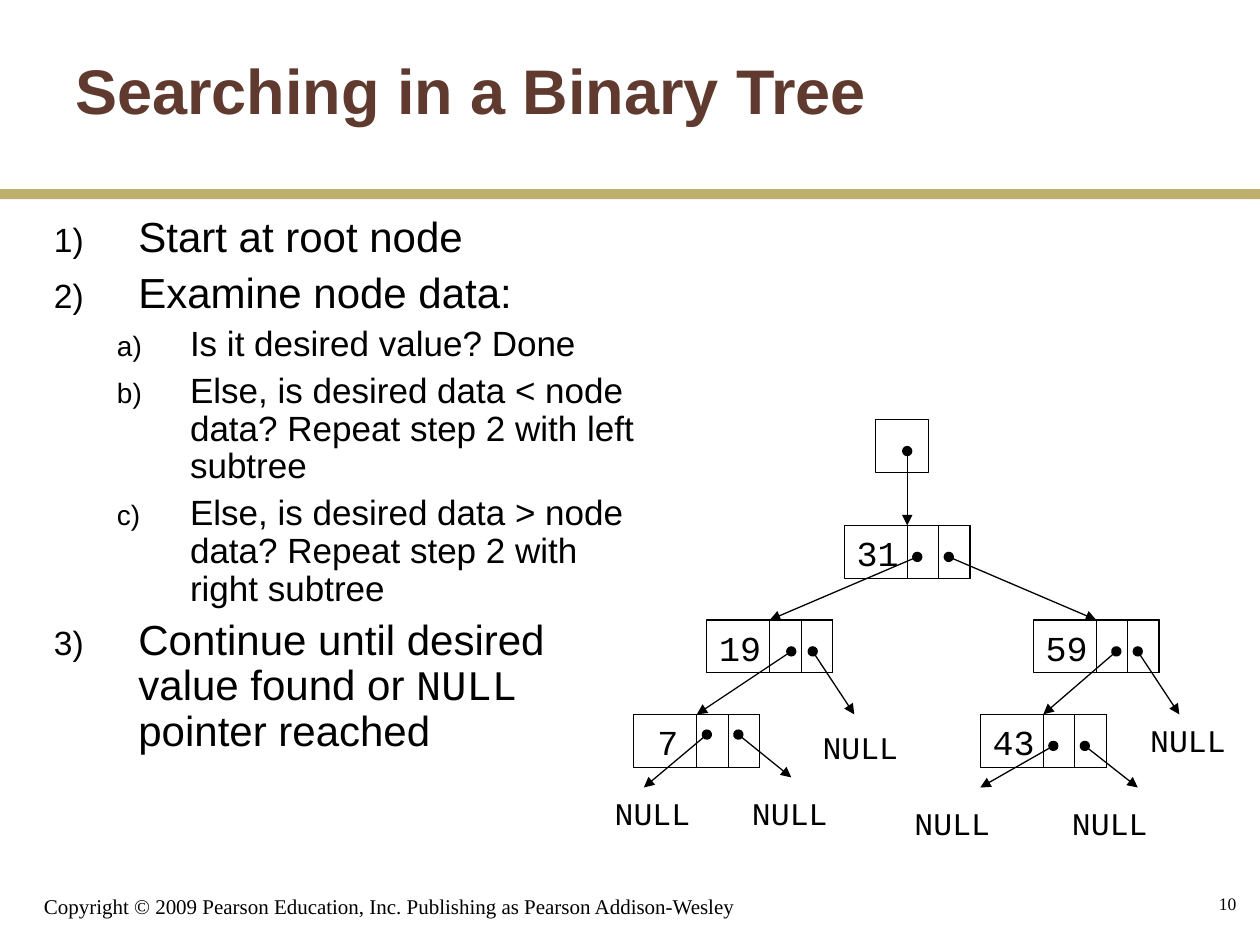
from lxml.etree import SubElement
from pptx import Presentation
from pptx.dml.color import RGBColor
from pptx.enum.shapes import MSO_CONNECTOR, MSO_SHAPE
from pptx.enum.text import MSO_ANCHOR, MSO_AUTO_SIZE, PP_ALIGN
from pptx.oxml.ns import qn
from pptx.util import Inches, Pt

BLACK, BROWN, GOLD = "000000", "603A2F", "BFAF6F"
SANS, MONO, SERIF = "Arial", "Courier New", "Times New Roman"
NODE_WIDTH, CELL_WIDTH, NODE_HEIGHT = 1, 0.25, 0.42


def color(hex_text):
    return RGBColor.from_string(hex_text)


def add_span(para, text, size=20, font=SANS, ink=BLACK, bold=False):
    span = para.add_run()
    span.text = text
    span.font.size = Pt(size)
    span.font.name = font
    span.font.bold = bold
    span.font.color.rgb = color(ink)


def number_paragraph(para, level):
    """Hanging automatic number: 1) on the first level, a) on the second."""
    indent, hanging, scheme = [(0.67, 0.67, "arabicParenR"),
                               (1.08, 0.58, "alphaLcParenR")][level]
    para.level = level
    properties = para._p.get_or_add_pPr()
    properties.set("marL", str(Inches(indent)))
    properties.set("indent", str(-Inches(hanging)))
    bullet_color = SubElement(properties, qn("a:buClr"))
    SubElement(bullet_color, qn("a:srgbClr"), val=BLACK)
    SubElement(properties, qn("a:buSzPct"), val="80000")
    SubElement(properties, qn("a:buAutoNum"), type=scheme)


class SlideBuilder:
    line_width = Pt(0.75)

    def __init__(self, slide):
        self.slide = slide

    def text(self, left, top, width, height, text="", wrap=True,
             anchor=MSO_ANCHOR.TOP, align=PP_ALIGN.LEFT, **style):
        box = self.slide.shapes.add_textbox(
            Inches(left), Inches(top), Inches(width), Inches(height))
        frame = box.text_frame
        frame.word_wrap = wrap
        frame.auto_size = MSO_AUTO_SIZE.NONE if wrap else MSO_AUTO_SIZE.SHAPE_TO_FIT_TEXT
        frame.vertical_anchor = anchor
        para = frame.paragraphs[0]
        para.alignment = align
        if text:
            add_span(para, text, **style)
        return frame

    def numbered_list(self, left, top, width, height, items):
        frame = self.text(left, top, width, height)
        for index, (level, spans) in enumerate(items):
            para = frame.add_paragraph() if index else frame.paragraphs[0]
            number_paragraph(para, level)
            para.line_spacing = 0.9
            para.space_before = Pt((6, 5)[level] if index else 0)
            for text, font in spans:
                add_span(para, text, size=(24, 20)[level], font=font)

    def rectangle(self, left, top, width, height, fill=None):
        box = self.slide.shapes.add_shape(
            MSO_SHAPE.RECTANGLE, Inches(left), Inches(top), Inches(width), Inches(height))
        box.shadow.inherit = False
        if fill:
            box.fill.solid()
            box.fill.fore_color.rgb = color(fill)
            box.line.fill.background()
        else:
            box.fill.background()
            box.line.color.rgb = color(BLACK)
            box.line.width = self.line_width
        return box

    def node(self, left, top, value, text_shift=0):
        """A tree node: the value, then two pointer cells at its right end."""
        box = self.rectangle(left, top, NODE_WIDTH, NODE_HEIGHT)
        for cells in (1, 2):
            self.rectangle(left + NODE_WIDTH - cells * CELL_WIDTH, top,
                           CELL_WIDTH, NODE_HEIGHT)
        self.text(left + text_shift, top, 0.12 + 0.2 * len(value) + 0.02, 0.44,
                  value, wrap=False, font=MONO)
        return box

    def pointer(self, start, end, target=None):
        line = self.slide.shapes.add_connector(
            MSO_CONNECTOR.STRAIGHT, *(Inches(value) for value in (*start, *end)))
        if target is not None:
            line.end_connect(target, 0)
        line.line.color.rgb = color(BLACK)
        line.line.width = self.line_width
        outline = line.line._get_or_add_ln()
        SubElement(outline, qn("a:headEnd"), type="oval")
        SubElement(outline, qn("a:tailEnd"), type="triangle")
        SubElement(line._element.spPr, qn("a:effectLst"))


def main():
    deck = Presentation()
    deck.slide_width, deck.slide_height = Inches(10), Inches(7.5)
    page = SlideBuilder(deck.slides.add_slide(deck.slide_layouts[6]))

    # Title and rule
    page.rectangle(0, 1.5, 10, 0.08, fill=GOLD)
    page.text(0.5, 0.08, 8.33, 1.25, "Searching in a Binary Tree",
              anchor=MSO_ANCHOR.MIDDLE, size=36, ink=BROWN, bold=True)

    # Search steps
    page.numbered_list(0.33, 1.67, 4.92, 5, [
        (0, [("Start at root node", SANS)]),
        (0, [("Examine node data:", SANS)]),
        (1, [("Is it desired value? Done", SANS)]),
        (1, [("Else, is desired data < node data? Repeat step 2 with left subtree", SANS)]),
        (1, [("Else, is desired data > node data? Repeat step 2 with right subtree", SANS)]),
        (0, [("Continue until desired value found or ", SANS), ("NULL", MONO),
             (" pointer reached", SANS)]),
    ])

    # Tree nodes below the root pointer
    page.rectangle(6.95, 3.33, NODE_HEIGHT, NODE_HEIGHT)
    places = {"31": (6.7, 4.17), "19": (5.61, 4.92), "59": (8.2, 4.92),
              "7": (5.03, 5.67), "43": (7.78, 5.67)}
    nodes = {value: page.node(left, top, value, text_shift=0.09 if value == "7" else 0)
             for value, (left, top) in places.items()}

    # Pointers to child nodes
    child_pointers = [((7.2, 3.58), "31"), ((7.28, 4.42), "19"), ((7.53, 4.42), "59"),
                      ((6.28, 5.17), "7"), ((8.86, 5.17), "43")]
    for start, child in child_pointers:
        left, top = places[child]
        page.pointer(start, (left + NODE_WIDTH / 2, top), nodes[child])

    # Empty pointers: start, end, label corner
    null_pointers = [
        ((6.45, 5.17), (6.78, 5.67), (6.43, 5.73)),
        ((9.03, 5.17), (9.36, 5.67), (9.03, 5.67)),
        ((5.61, 5.83), (5.11, 6.25), (4.78, 6.25)),
        ((5.86, 5.83), (6.28, 6.17), (5.87, 6.25)),
        ((8.36, 5.92), (7.78, 6.25), (7.16, 6.33)),
        ((8.61, 5.92), (9.03, 6.25), (8.41, 6.33)),
    ]
    for start, end, corner in null_pointers:
        page.pointer(start, end)
        page.text(*corner, 0.8, 0.4, "NULL", wrap=False, size=18, font=MONO)

    # Footer
    page.text(0.25, 6.92, 6.08, 0.42,
              "Copyright © 2009 Pearson Education, Inc. Publishing as Pearson Addison-Wesley",
              anchor=MSO_ANCHOR.BOTTOM, size=12, font=SERIF)
    page.text(7.83, 6.92, 2.08, 0.5, "10", anchor=MSO_ANCHOR.MIDDLE,
              align=PP_ALIGN.RIGHT, size=10, font=SERIF)

    deck.save("out.pptx")


if __name__ == "__main__":
    main()
